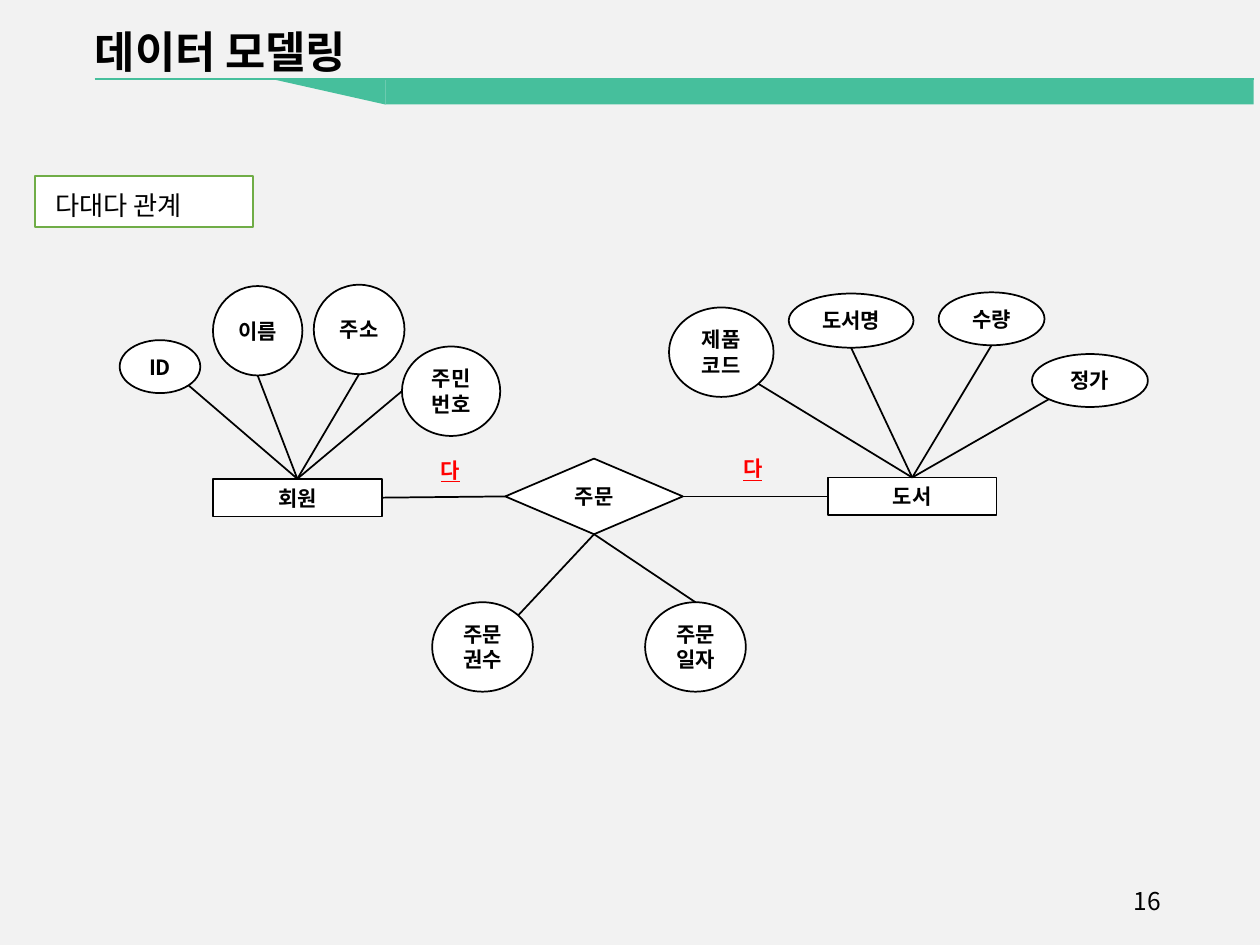
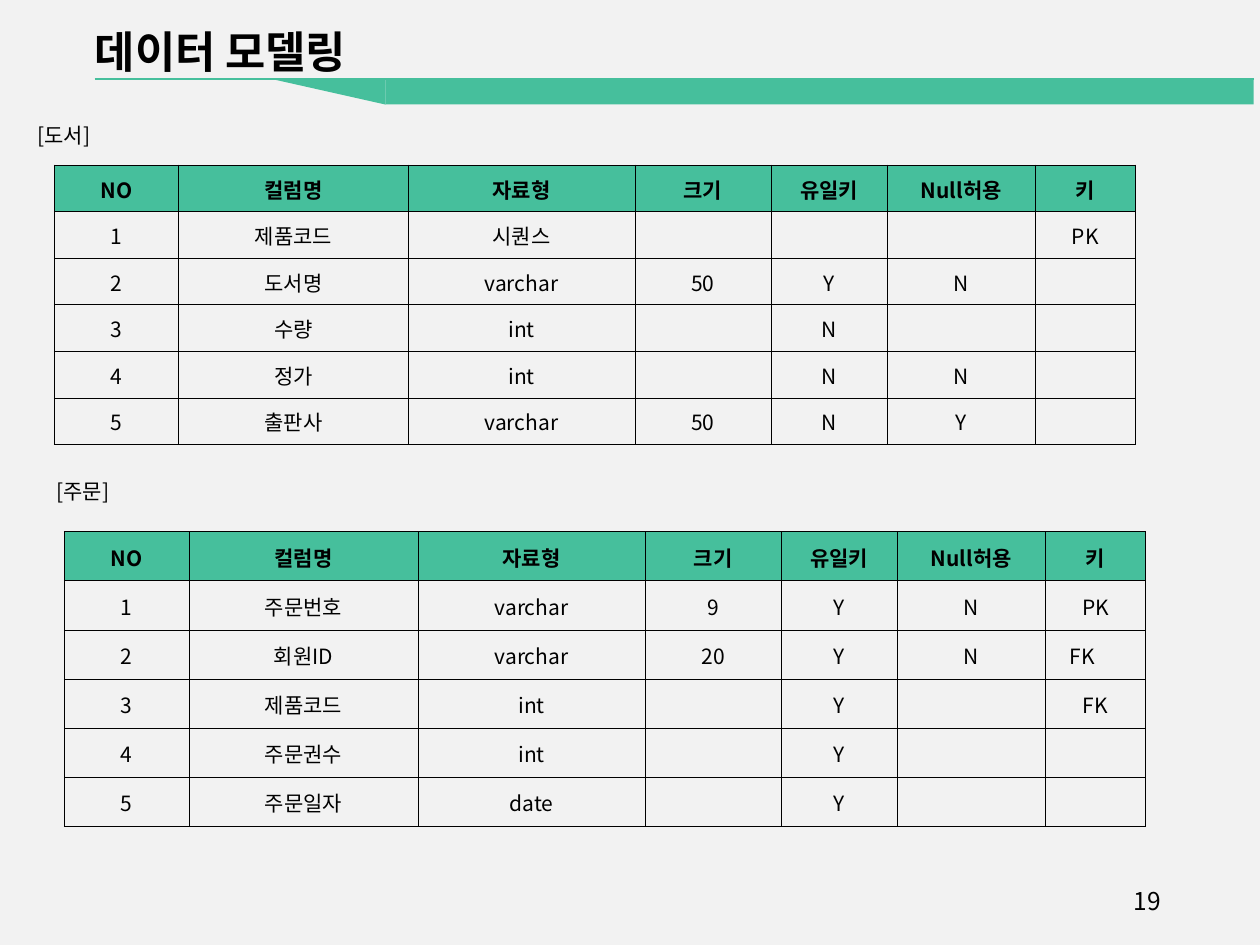
from dataclasses import dataclass
from math import cos, radians, sin

from lxml.etree import SubElement
from pptx import Presentation
from pptx.dml.color import RGBColor
from pptx.enum.shapes import MSO_CONNECTOR, MSO_SHAPE as Preset
from pptx.enum.text import MSO_ANCHOR as Anchor, PP_ALIGN as Align
from pptx.oxml import parse_xml
from pptx.oxml.ns import nsdecls, qn
from pptx.util import Inches, Pt


@dataclass(frozen=True)
class Theme:
    font: str = "Noto Sans CJK KR"
    background: str = "F2F2F2"
    accent: str = "46BF9C"
    label_line: str = "70AD47"
    ink: str = "000000"
    paper: str = "FFFFFF"
    highlight: str = "FF0000"
    title_size: float = 25
    label_size: float = 15
    number_size: float = 14
    body_size: float = 12
    thin: float = 1
    rule: float = 1.25
    border: float = 0.5


THEME = Theme()
COLUMN_WIDTHS = (0.99, 1.82, 1.8, 1.08, 0.92, 1.18, 0.79)
HEADER = ("NO", "컬럼명", "자료형", "크기", "유일키", "Null허용", "키")


# Shared helpers; every box is (left, top, width, height) in inches
def inches(box):
    return [Inches(value) for value in box]


def write(frame, text, size=THEME.body_size, color=THEME.ink, bold=False,
          align=Align.LEFT, anchor=Anchor.TOP):
    frame.vertical_anchor = anchor
    paragraph = frame.paragraphs[0]
    paragraph.text = text
    paragraph.alignment = align
    font = paragraph.font
    font.size, font.bold = Pt(size), bold
    font.color.rgb = RGBColor.from_string(color)
    font.name = THEME.font
    defaults = paragraph._p.pPr.find(qn("a:defRPr"))
    SubElement(defaults, qn("a:ea"), typeface=THEME.font)
    return paragraph


def add_shape(shapes, preset, box, fill=None, line=None):
    shape = shapes.add_shape(preset, *inches(box))
    shape.shadow.inherit = False
    if fill:
        shape.fill.solid()
        shape.fill.fore_color.rgb = RGBColor.from_string(fill)
    else:
        shape.fill.background()
    if line:
        shape.line.color.rgb = RGBColor.from_string(line)
        shape.line.width = Pt(THEME.thin)
    else:
        shape.line.fill.background()
    return shape


def add_text(shapes, box, text, **style):
    frame = shapes.add_textbox(*inches(box)).text_frame
    frame.word_wrap = True
    return write(frame, text, **style)


def add_line(shapes, start, end, color=THEME.ink, width=THEME.thin):
    line = shapes.add_connector(MSO_CONNECTOR.STRAIGHT, *inches(start + end))
    line.line.color.rgb = RGBColor.from_string(color)
    line.line.width = Pt(width)
    SubElement(line._element.spPr, qn("a:effectLst"))


# Title, green band and page number
def add_frame(presentation, title, number):
    slide = presentation.slides.add_slide(presentation.slide_layouts[6])
    slide.background.fill.solid()
    slide.background.fill.fore_color.rgb = RGBColor.from_string(THEME.background)
    add_text(slide.shapes, (7.06, 6.95, 2.25, 0.4), str(number),
             size=THEME.number_size, align=Align.RIGHT, anchor=Anchor.MIDDLE)
    add_band(slide.shapes, (0.75, 0.63, 9.2, 0.2))
    box = add_shape(slide.shapes, Preset.ROUNDED_RECTANGLE, (0.59, 0.17, 5.67, 0.47))
    box.adjustments[0] = 0.48
    box.text_frame.word_wrap = False
    write(box.text_frame, title, size=THEME.title_size, bold=True, anchor=Anchor.MIDDLE)
    return slide


def add_band(shapes, box):
    left, top, width, height = box
    slope_left, bar_left = left + 1.42, left + 2.31
    band = shapes.add_group_shape().shapes
    slope = add_shape(band, Preset.ISOSCELES_TRIANGLE,
                      (slope_left, top, bar_left - slope_left, height), THEME.accent)
    slope.adjustments[0] = 0
    slope.rotation = 180
    add_shape(band, Preset.RECTANGLE,
              (bar_left, top, left + width - bar_left, height), THEME.accent)
    add_line(shapes, (left, top), (left + width, top), THEME.accent, THEME.rule)


# Entity-relationship diagram
def add_label(shapes, box, text):
    label = add_shape(shapes, Preset.RECTANGLE, box, THEME.paper, THEME.label_line)
    label.text_frame.margin_left = Inches(0.16)
    write(label.text_frame, text, size=THEME.label_size).line_spacing = 1.2


def edge_point(box, degrees):
    """Point on the rim of a box, clockwise from its right-hand side."""
    left, top, width, height = box
    angle = radians(degrees)
    return (left + width / 2 * (1 + cos(angle)), top + height / 2 * (1 + sin(angle)))


RIGHT, BOTTOM, LEFT, TOP = 0, 90, 180, 270
LOWER_RIGHT, LOWER_LEFT, UPPER_RIGHT = 45, 135, 315

# Node: preset, box inside the diagram, text
NODES = {
    "book": (Preset.RECTANGLE, (5.62, 1.53, 1.34, 0.3), "도서"),
    "member": (Preset.RECTANGLE, (0.74, 1.54, 1.34, 0.3), "회원"),
    "order": (Preset.FLOWCHART_DECISION, (3.06, 1.38, 1.41, 0.6), "주문"),
}
# Attribute: owner, owner's side, box inside the diagram, text, own side
ATTRIBUTES = (
    ("member", TOP, (0, 0.44, 0.64, 0.42), "ID", LOWER_RIGHT),
    ("member", TOP, (0.74, 0.01, 0.71, 0.71), "이름", BOTTOM),
    ("member", TOP, (1.54, 0, 0.72, 0.71), "주소", BOTTOM),
    ("member", TOP, (2.24, 0.49, 0.78, 0.71), "주민번호", LEFT),
    ("book", TOP, (4.36, 0.18, 0.83, 0.71), "제품코드", LOWER_RIGHT),
    ("book", TOP, (5.31, 0.07, 0.99, 0.43), "도서명", BOTTOM),
    ("book", TOP, (6.5, 0.06, 0.84, 0.42), "수량", BOTTOM),
    ("book", TOP, (7.24, 0.55, 0.92, 0.42), "정가", LOWER_LEFT),
    ("order", BOTTOM, (2.48, 2.52, 0.8, 0.71), "주문권수", UPPER_RIGHT),
    ("order", BOTTOM, (4.17, 2.52, 0.8, 0.71), "주문일자", TOP),
)
RELATIONS = (("member", RIGHT, "order", LEFT), ("order", RIGHT, "book", LEFT))
CARDINALITIES = ((2.43, 1.32, 0.39, 0.3), (4.83, 1.31, 0.39, 0.3))


def add_node(shapes, preset, box, text):
    node = add_shape(shapes, preset, box, THEME.paper, THEME.ink)
    frame = node.text_frame
    frame.margin_left = frame.margin_right = Inches(0.08)
    write(frame, text, bold=True, align=Align.CENTER, anchor=Anchor.MIDDLE)


def add_diagram(shapes, left, top):
    def place(box):
        return (left + box[0], top + box[1], *box[2:])

    diagram = shapes.add_group_shape().shapes
    boxes = {name: place(box) for name, (_, box, _) in NODES.items()}
    for name, (preset, _, text) in NODES.items():
        add_node(diagram, preset, boxes[name], text)
    for owner, owner_side, box, text, side in ATTRIBUTES:
        add_node(diagram, Preset.OVAL, place(box), text)
        add_line(diagram, edge_point(place(box), side),
                 edge_point(boxes[owner], owner_side))
    for first, first_side, second, second_side in RELATIONS:
        add_line(diagram, edge_point(boxes[first], first_side),
                 edge_point(boxes[second], second_side))
    for box in CARDINALITIES:
        paragraph = add_text(diagram, place(box), "다", color=THEME.highlight,
                             bold=True, align=Align.CENTER)
        paragraph.font.underline = True


# Column definition tables
def add_borders(cell):
    properties = cell._tc.get_or_add_tcPr()
    for index, side in enumerate(("lnL", "lnR", "lnT", "lnB")):
        properties.insert(index, parse_xml(
            f'<a:{side} {nsdecls("a")} w="{Pt(THEME.border)}"><a:solidFill>'
            f'<a:srgbClr val="{THEME.ink}"/></a:solidFill></a:{side}>'))


def add_definition(shapes, left, top, row_height, rows):
    rows = (HEADER, *rows)
    table = shapes.add_table(len(rows), len(HEADER), *inches(
        (left, top, sum(COLUMN_WIDTHS), row_height * len(rows)))).table
    table.horz_banding = False
    for column, width in zip(table.columns, COLUMN_WIDTHS):
        column.width = Inches(width)
    for row_index, values in enumerate(rows):
        is_header = row_index == 0
        table.rows[row_index].height = Inches(row_height)
        for cell, text in zip(table.rows[row_index].cells, values):
            cell.margin_left = cell.margin_right = cell.margin_top = Inches(0.01)
            cell.margin_bottom = 0
            cell.vertical_anchor = Anchor.MIDDLE
            if is_header:
                cell.fill.solid()
                cell.fill.fore_color.rgb = RGBColor.from_string(THEME.accent)
            else:
                cell.fill.background()
            write(cell.text_frame, text, bold=is_header, align=Align.CENTER,
                  anchor=None)
            add_borders(cell)
    return table


BOOK_ROWS = (
    ("1", "제품코드", "시퀀스", "", "", "", "PK"),
    ("2", "도서명", "varchar", "50", "Y", "N", ""),
    ("3", "수량", "int", "", "N", "", ""),
    ("4", "정가", "int", "", "N", "N", ""),
    ("5", "출판사", "varchar", "50", "N", "Y", ""),
)
ORDER_ROWS = (
    ("1", "주문번호", "varchar", "9", "Y", "N", "PK"),
    ("2", "회원ID", "varchar", "20", "Y", "N", "FK"),
    ("3", "제품코드", "int", "", "Y", "", "FK"),
    ("4", "주문권수", "int", "", "Y", "", ""),
    ("5", "주문일자", "date", "", "Y", "", ""),
)


def build_diagram_slide(presentation):
    slide = add_frame(presentation, "데이터 모델링", 16)
    add_label(slide.shapes, (0.28, 1.4, 1.73, 0.4), "다대다 관계")
    add_diagram(slide.shapes, 0.95, 2.26)


def build_table_slide(presentation):
    slide = add_frame(presentation, "데이터 모델링", 19)
    add_text(slide.shapes, (0.2, 0.92, 1.97, 0.3), "[도서]")
    add_definition(slide.shapes, 0.43, 1.31, 0.37, BOOK_ROWS)
    add_text(slide.shapes, (0.35, 3.75, 1.97, 0.3), "[주문]")
    orders = add_definition(slide.shapes, 0.51, 4.22, 0.39, ORDER_ROWS)
    # The member key sits left of centre
    orders.cell(2, 6).margin_right = Inches(0.22)


presentation = Presentation()
presentation.slide_width, presentation.slide_height = Inches(10), Inches(7.5)
build_diagram_slide(presentation)
build_table_slide(presentation)
presentation.save("out.pptx")
